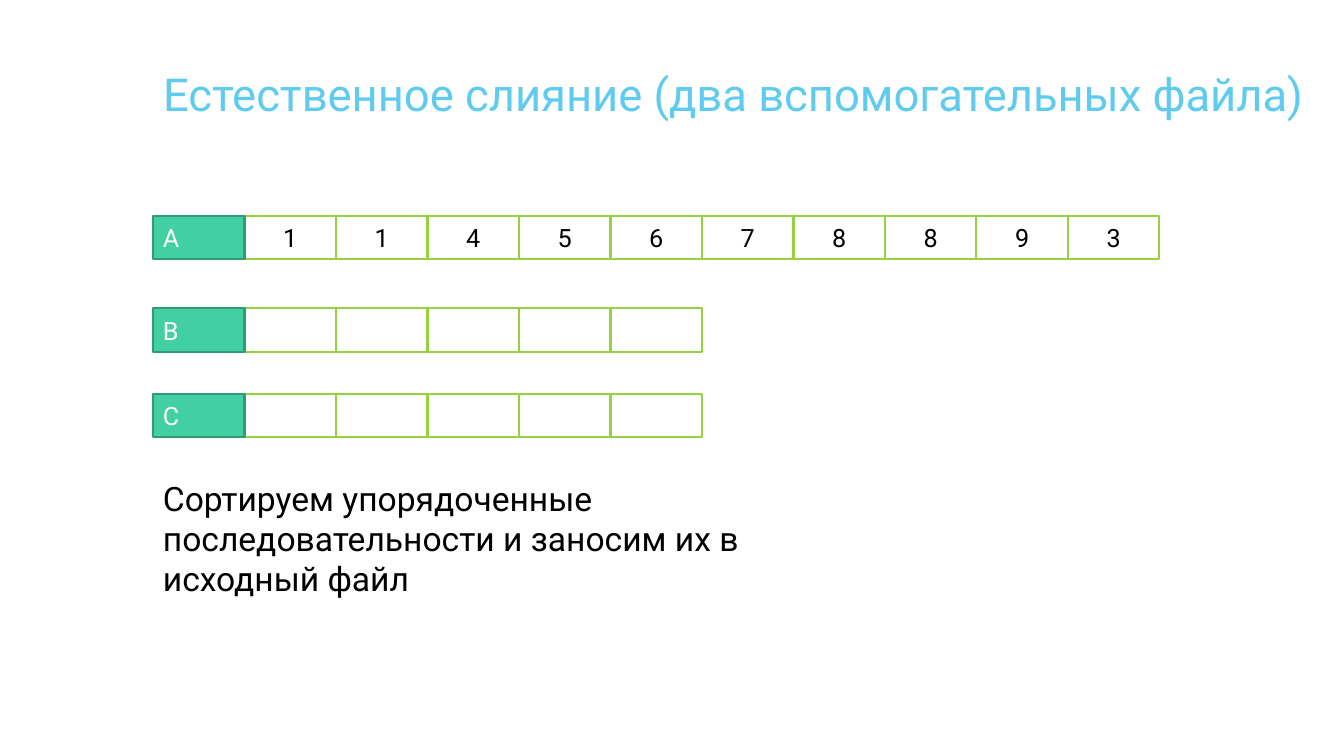
from pptx import Presentation
from pptx.dml.color import RGBColor
from pptx.enum.shapes import MSO_SHAPE
from pptx.enum.text import MSO_ANCHOR, MSO_AUTO_SIZE, PP_ALIGN
from pptx.util import Pt

FONT = "Roboto"
LEFT = 109.3
CELL_W, CELL_H = 65.35, 30.9
LABEL = {"fill": "42D0A2", "line": "319A78", "color": "FFFFFF", "align": PP_ALIGN.LEFT}
CELL = {"fill": "FFFFFF", "line": "96D141", "color": "000000", "align": PP_ALIGN.CENTER}
FILES = [
    ("A", 154.1, "1145678893"),
    ("B", 220.3, [""] * 5),
    ("C", 281.5, [""] * 5),
]


def rgb(value):
    return RGBColor.from_string(value)


def write(tf, text, size, color, align=PP_ALIGN.LEFT, anchor=MSO_ANCHOR.TOP):
    frame = {"word_wrap": True, "auto_size": MSO_AUTO_SIZE.NONE, "vertical_anchor": anchor}
    for name, value in frame.items():
        setattr(tf, name, value)
    p = tf.paragraphs[0]
    p.alignment = align
    r = p.add_run()
    r.text = text
    for name, value in {"name": FONT, "size": Pt(size)}.items():
        setattr(r.font, name, value)
    r.font.color.rgb = rgb(color)


def add_title(slide, text, left, top, width, height):
    sp = slide.shapes.title
    box = {"left": left, "top": top, "width": width, "height": height}
    for name, value in box.items():
        setattr(sp, name, Pt(value))
    write(sp.text_frame, text, 32.4, "5FCBEF")


def add_cell(slide, text, left, top, style):
    sp = slide.shapes.add_shape(
        MSO_SHAPE.RECTANGLE, Pt(left), Pt(top), Pt(CELL_W), Pt(CELL_H))
    sp.shadow.inherit = False
    sp.fill.solid()
    sp.fill.fore_color.rgb = rgb(style["fill"])
    sp.line.color.rgb = rgb(style["line"])
    sp.line.width = Pt(1.5)
    if text:
        write(sp.text_frame, text, 18, style["color"], style["align"], MSO_ANCHOR.MIDDLE)


def add_file_row(slide, name, values, left, top):
    """Draw the cells of one file, then its label over their left edge."""
    for i, value in enumerate(values, 1):
        add_cell(slide, value, left + i * CELL_W, top, CELL)
    add_cell(slide, name, left, top, LABEL)


def add_note(slide, text, left, top, width, height):
    sp = slide.shapes.add_textbox(Pt(left), Pt(top), Pt(width), Pt(height))
    write(sp.text_frame, text, 24, "000000")
    sp.text_frame.auto_size = MSO_AUTO_SIZE.SHAPE_TO_FIT_TEXT


def main():
    prs = Presentation()
    prs.slide_width, prs.slide_height = Pt(960), Pt(540)
    slide = prs.slides.add_slide(prs.slide_layouts[5])
    add_title(slide, "Естественное слияние (два вспомогательных файла)",
              LEFT, 43.9, 868.3, 69.8)
    for name, top, values in FILES:
        add_file_row(slide, name, values, LEFT, top)
    add_note(slide, "Сортируем упорядоченные последовательности и заносим их в исходный файл",
             LEFT, 337.7, 504, 94.3)
    prs.save("out.pptx")


if __name__ == "__main__":
    main()
